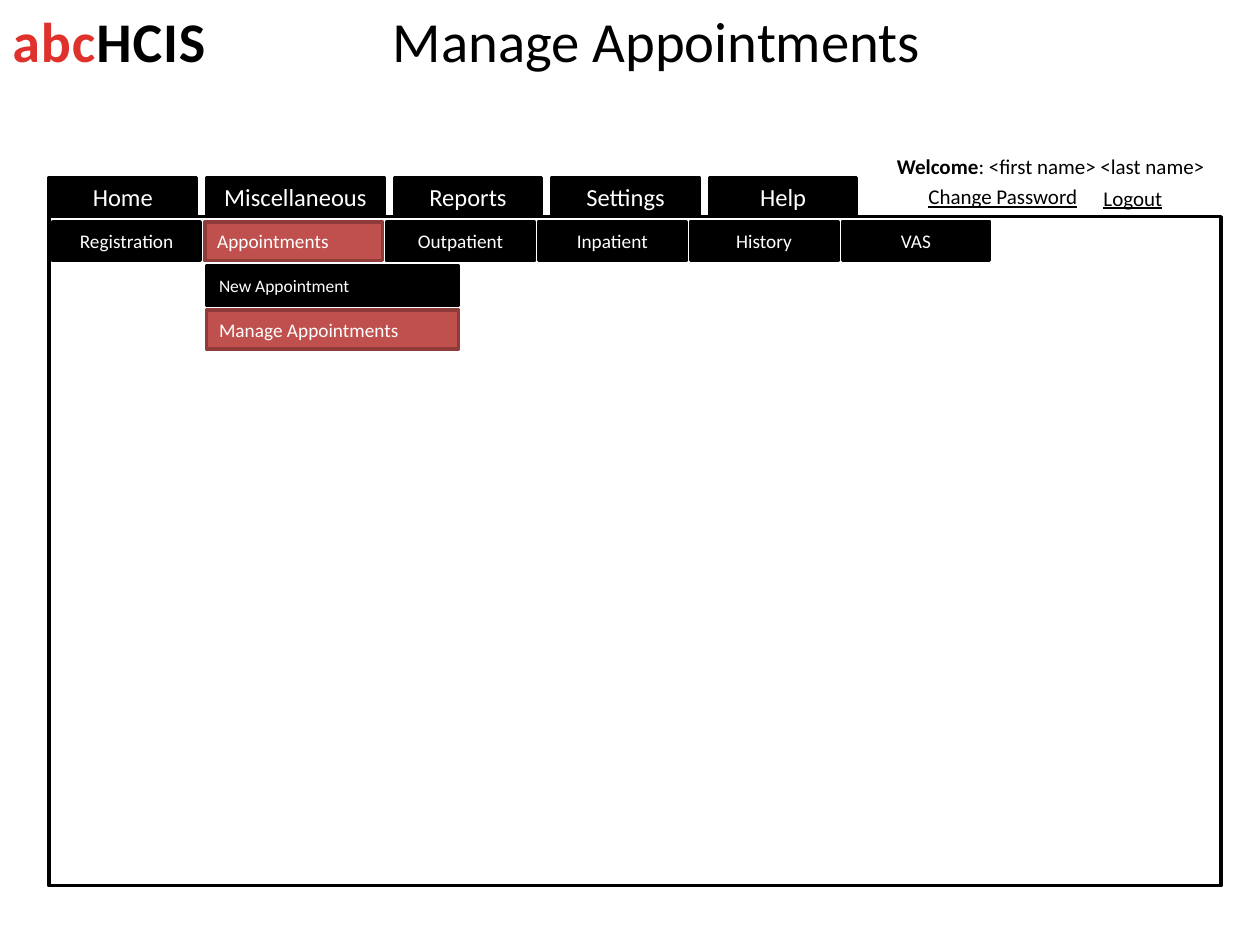
from pptx import Presentation
from pptx.dml.color import RGBColor
from pptx.enum.shapes import MSO_SHAPE
from pptx.enum.text import MSO_ANCHOR, PP_ALIGN
from pptx.util import Inches, Pt

RECTANGLE = MSO_SHAPE.RECTANGLE
MIDDLE, TOP = MSO_ANCHOR.MIDDLE, MSO_ANCHOR.TOP
LEFT, CENTER = PP_ALIGN.LEFT, PP_ALIGN.CENTER

BLACK = RGBColor(0x00, 0x00, 0x00)
WHITE = RGBColor(0xFF, 0xFF, 0xFF)
LOGO_RED = RGBColor(0xE0, 0x32, 0x2D)
ACTIVE = RGBColor(0xC0, 0x50, 0x4D)
ACTIVE_EDGE = RGBColor(0x8E, 0x3B, 0x39)
FONT = "Calibri"

# Content
TITLE = "Manage Appointments"
SYSTEM_NAME = ("abc", "HCIS")
GREETING = ("Welcome", ": <first name> <last name>")
ACCOUNT_LINKS = [("Change Password", 7.27, 1.41, 1.4), ("Logout", 8.66, 1.42, 0.67)]
NARROW, WIDE, DROP = 1.17, 1.41, 2.0
TABS = [("Home", NARROW), ("Miscellaneous", WIDE), ("Reports", NARROW),
        ("Settings", NARROW), ("Help", NARROW)]
MENU = [("Registration", NARROW), ("Appointments", WIDE), ("Outpatient", NARROW),
        ("Inpatient", NARROW), ("History", NARROW), ("VAS", NARROW)]
SUBMENU = [("New Appointment", 10), ("Manage Appointments", 11)]
SELECTED = {"Appointments", "Manage Appointments"}

# Layout in inches
PANEL_X, PANEL_Y, PANEL_W, PANEL_H = 0.39, 1.72, 9.3, 5.31
BUTTON_H = 0.31
ROW_PITCH = 0.35
MENU_X, MENU_Y = PANEL_X + 0.03, PANEL_Y + 0.04
TAB_GAP, MENU_GAP = 0.08, 0.035
SUBMENU_X = PANEL_X + NARROW + TAB_GAP

prs = Presentation()
prs.slide_width, prs.slide_height = Inches(10), Inches(7.5)
slide = prs.slides.add_slide(prs.slide_layouts[6])


def style(run, size, color, bold=False, underline=False):
    font = run.font
    font.name, font.size, font.bold = FONT, Pt(size), bold
    font.underline = underline
    font.color.rgb = color


def add_label(parts, x, y, w, h, size, align=LEFT, anchor=TOP, underline=False):
    """Add a text box; each part is (text, color, bold)."""
    frame = slide.shapes.add_textbox(*map(Inches, (x, y, w, h))).text_frame
    frame.word_wrap = False
    frame.vertical_anchor = anchor
    paragraph = frame.paragraphs[0]
    paragraph.alignment = align
    for text, color, bold in parts:
        run = paragraph.add_run()
        run.text = text
        style(run, size, color, bold, underline)
    return paragraph


def add_box(x, y, w, h, fill, edge):
    box = slide.shapes.add_shape(RECTANGLE, *map(Inches, (x, y, w, h)))
    box.shadow.inherit = False
    box.fill.solid()
    box.fill.fore_color.rgb = fill
    box.line.color.rgb = edge
    box.line.width = Pt(2)
    return box


def add_button(text, x, y, w, size, align):
    fill, edge = (ACTIVE, ACTIVE_EDGE) if text in SELECTED else (BLACK, BLACK)
    frame = add_box(x, y, w, BUTTON_H, fill, edge).text_frame
    frame.text = text
    frame.vertical_anchor = MIDDLE
    frame.paragraphs[0].alignment = align
    style(frame.paragraphs[0].runs[0], size, WHITE)


def add_button_row(buttons, x, y, gap, size):
    for text, width in buttons:
        align = LEFT if text in SELECTED else CENTER
        add_button(text, x, y, width, size, align)
        x += width + gap


# Header: system name and page title
name_line = add_label([(SYSTEM_NAME[0], LOGO_RED, True), (SYSTEM_NAME[1], BLACK, True)],
                      0, 0, 2.03, 0.64, 32)
for name_run in name_line.runs:
    name_run.font._element.set("spc", "50")
add_label([(TITLE, BLACK, False)], 1.67, 0.08, 7.08, 0.47, 32.4, CENTER, MIDDLE)

# Main panel
add_box(PANEL_X, PANEL_Y, PANEL_W, PANEL_H, WHITE, BLACK)

# Greeting and account links
add_label([(GREETING[0], BLACK, True), (GREETING[1], BLACK, False)],
          7.02, 1.17, 2.67, 0.3, 12)
for link, link_x, link_y, link_w in ACCOUNT_LINKS:
    add_label([(link, BLACK, False)], link_x, link_y, link_w, 0.3, 12, underline=True)

# Tabs, menu bar and open submenu
add_button_row(TABS, PANEL_X, PANEL_Y - BUTTON_H, TAB_GAP, 14)
add_button_row(MENU, MENU_X, MENU_Y, MENU_GAP, 11)
for row, (entry, entry_size) in enumerate(SUBMENU, start=1):
    add_button(entry, SUBMENU_X, MENU_Y + row * ROW_PITCH, DROP, entry_size, LEFT)

prs.save("out.pptx")
